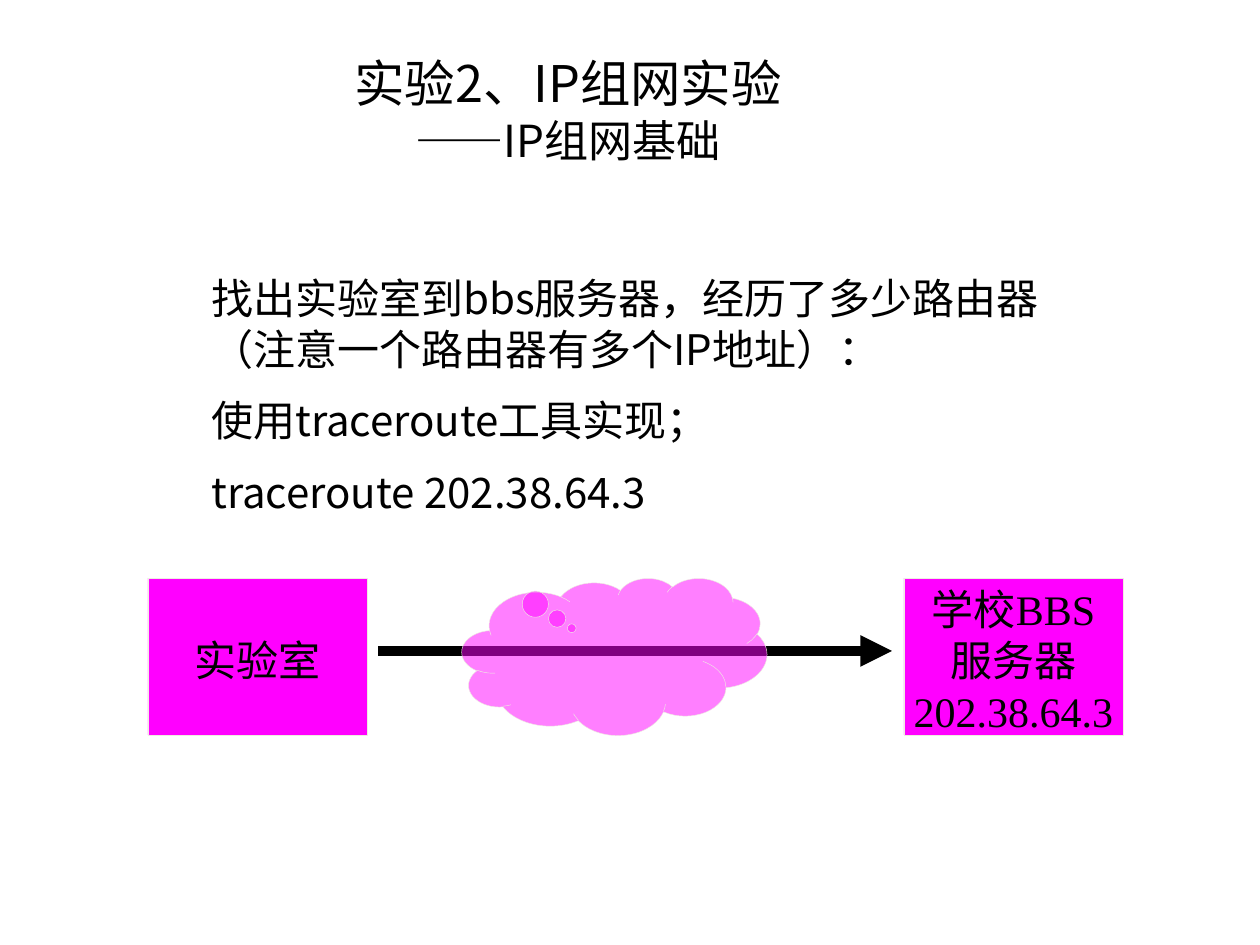
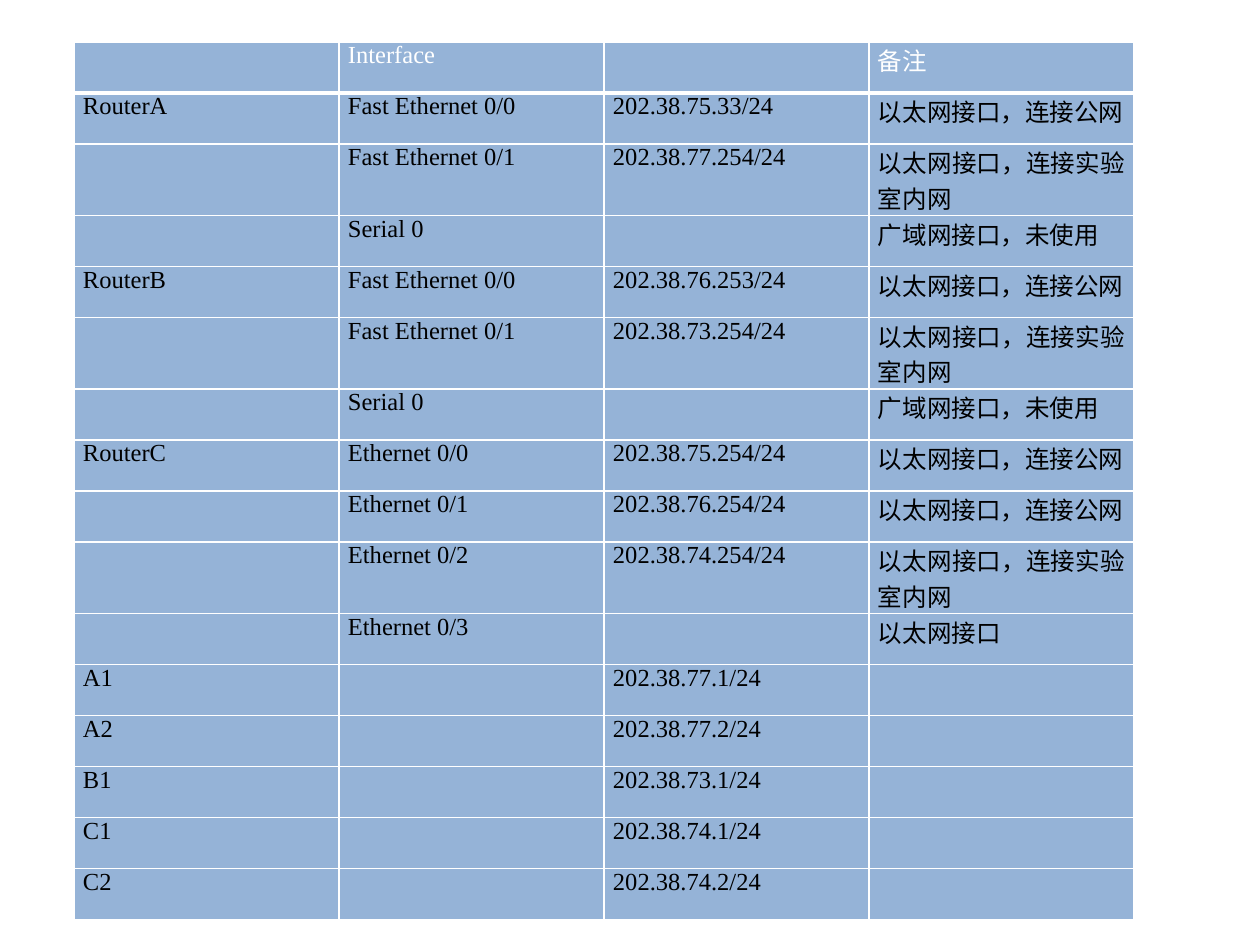
from dataclasses import dataclass

from lxml import etree
from pptx import Presentation, util as u
from pptx.dml.color import RGBColor
from pptx.enum import shapes, text
from pptx.oxml.ns import qn

EMU_PER_PX = 914400 / 126

BLACK = RGBColor(0x00, 0x00, 0x00)
WHITE = RGBColor(0xFF, 0xFF, 0xFF)
MAGENTA = RGBColor(0xFF, 0x00, 0xFF)
CREAM = RGBColor(0xEE, 0xEC, 0xE1)
STEEL_BLUE = RGBColor(0x95, 0xB3, 0xD7)

SANS = "Noto Sans CJK JP"
SERIF = "Times New Roman"


@dataclass(frozen=True)
class Box:
    left: int
    top: int
    width: int
    height: int

    def emu(self) -> tuple:
        return px(self.left), px(self.top), px(self.width), px(self.height)


@dataclass(frozen=True)
class Host:
    label: str
    box: Box


LAB = Host("实验室", Box(148, 578, 219, 157))
SERVER = Host("学校BBS\n服务器\n202.38.64.3", Box(904, 578, 219, 157))
CLOUD = Box(462, 578, 305, 157)
TITLE = Box(95, 53, 946, 105)
TASK = Box(199, 262, 872, 267)

COLUMN_WIDTH = 265
ROW_HEIGHT = 51
TWO_LINE_ROW_HEIGHT = 71
PUBLIC = "以太网接口，连接公网"
PRIVATE = "以太网接口，连接实验室内网"
UNUSED = "广域网接口，未使用"
ADDRESS_ROWS = [
    ("", "Interface", "", "备注"),
    ("RouterA", "Fast Ethernet 0/0", "202.38.75.33/24", PUBLIC),
    ("", "Fast Ethernet 0/1", "202.38.77.254/24", PRIVATE),
    ("", "Serial 0", "", UNUSED),
    ("RouterB", "Fast Ethernet 0/0", "202.38.76.253/24", PUBLIC),
    ("", "Fast Ethernet 0/1", "202.38.73.254/24", PRIVATE),
    ("", "Serial 0", "", UNUSED),
    ("RouterC", "Ethernet 0/0", "202.38.75.254/24", PUBLIC),
    ("", "Ethernet 0/1", "202.38.76.254/24", PUBLIC),
    ("", "Ethernet 0/2", "202.38.74.254/24", PRIVATE),
    ("", "Ethernet 0/3", "", "以太网接口"),
    ("A1", "", "202.38.77.1/24", ""),
    ("A2", "", "202.38.77.2/24", ""),
    ("B1", "", "202.38.73.1/24", ""),
    ("C1", "", "202.38.74.1/24", ""),
    ("C2", "", "202.38.74.2/24", ""),
]


def px(length: int) -> int:
    return round(length * EMU_PER_PX)


def style_run(run, size: float, font: str, color: RGBColor = BLACK) -> None:
    run.font.size = u.Pt(size)
    run.font.color.rgb = color
    run.font.name = font
    etree.SubElement(run.font._element, qn("a:ea"), typeface=SANS)


def style_text(frame, size: float, font: str, align, leading: float, top_inset: int) -> None:
    frame.margin_top = px(top_inset)
    for paragraph in frame.paragraphs:
        paragraph.alignment = align
        paragraph.line_spacing = u.Pt(leading)
        for run in paragraph.runs:
            style_run(run, size, font)


def add_filled_shape(slide, kind, box: Box):
    shape = slide.shapes.add_shape(kind, *box.emu())
    shape.shadow.inherit = False
    shape.fill.solid()
    shape.fill.fore_color.rgb = MAGENTA
    shape.line.color.rgb = CREAM
    shape.line.width = u.Pt(0.25)
    return shape


def add_host(slide, host: Host) -> None:
    frame = add_filled_shape(slide, shapes.MSO_SHAPE.RECTANGLE, host.box).text_frame
    frame.text = host.label
    frame.word_wrap = False
    frame.vertical_anchor = text.MSO_ANCHOR.MIDDLE
    style_text(frame, 24, SERIF, text.PP_ALIGN.CENTER, 29, 12)


def add_route_arrow(slide) -> None:
    arrow = slide.shapes.add_connector(
        shapes.MSO_CONNECTOR.STRAIGHT, px(378), px(651), px(892), px(651))
    arrow.line.color.rgb = BLACK
    arrow.line.width = u.Pt(6)
    etree.SubElement(arrow.line._get_or_add_ln(), qn("a:tailEnd"), type="triangle")
    etree.SubElement(arrow._element.spPr, qn("a:effectLst"))


def add_network_cloud(slide) -> None:
    cloud = add_filled_shape(slide, shapes.MSO_SHAPE.CLOUD_CALLOUT, CLOUD)
    cloud.adjustments[0] = -0.14
    cloud.adjustments[1] = -0.18
    color = cloud._element.spPr.find(qn("a:solidFill"))[0]
    etree.SubElement(color, qn("a:alpha"), val="50000")


def add_text_box(slide, box: Box, content: str):
    frame = slide.shapes.add_textbox(*box.emu()).text_frame
    frame.word_wrap = True
    frame.text = content
    return frame


def add_title(slide) -> None:
    frame = add_text_box(slide, TITLE, "")
    frame.paragraphs[0].text = "实验2、IP组网实验\v——IP组网基础"
    frame.vertical_anchor = text.MSO_ANCHOR.MIDDLE
    style_text(frame, 28.8, SANS, text.PP_ALIGN.CENTER, 31, 20)
    frame.paragraphs[0].runs[1].font.size = u.Pt(25.2)


def add_task(slide) -> None:
    frame = add_text_box(slide, TASK, (
        "找出实验室到bbs服务器，经历了多少路由器（注意一个路由器有多个IP地址）：\n"
        "使用traceroute工具实现；\n"
        "traceroute 202.38.64.3"))
    style_text(frame, 24, SANS, text.PP_ALIGN.LEFT, 29, 10)
    for paragraph in frame.paragraphs[1:]:
        paragraph.space_before = u.Pt(12)


def set_borders(cell, bottom_width: float) -> None:
    """Draw white cell borders; they must precede the fill in the cell properties."""
    properties = cell._tc.get_or_add_tcPr()
    widths = {"lnL": 1, "lnR": 1, "lnT": 1, "lnB": bottom_width}
    for index, (side, width) in enumerate(widths.items()):
        line = etree.Element(qn(f"a:{side}"), w=str(u.Pt(width)))
        fill = etree.SubElement(line, qn("a:solidFill"))
        etree.SubElement(fill, qn("a:srgbClr"), val=str(WHITE))
        properties.insert(index, line)


def fill_cell(cell, content: str, is_header: bool) -> None:
    cell.margin_top = cell.margin_bottom = 0
    cell.margin_left = cell.margin_right = px(9)
    cell.fill.solid()
    cell.fill.fore_color.rgb = STEEL_BLUE
    set_borders(cell, 3 if is_header else 1)
    if content:
        paragraph = cell.text_frame.paragraphs[0]
        paragraph.text = content
        paragraph.alignment = text.PP_ALIGN.JUSTIFY
        style_run(paragraph.runs[0], 14, SERIF, WHITE if is_header else BLACK)


def add_address_table(slide) -> None:
    heights = [TWO_LINE_ROW_HEIGHT if PRIVATE in row else ROW_HEIGHT for row in ADDRESS_ROWS]
    column_count = len(ADDRESS_ROWS[0])
    box = Box(74, 42, COLUMN_WIDTH * column_count, sum(heights))
    table = slide.shapes.add_table(len(ADDRESS_ROWS), column_count, *box.emu()).table
    table.first_row = table.horz_banding = False
    for column in table.columns:
        column.width = px(COLUMN_WIDTH)
    for row_index, (row, height) in enumerate(zip(ADDRESS_ROWS, heights)):
        table.rows[row_index].height = px(height)
        for column_index, content in enumerate(row):
            fill_cell(table.cell(row_index, column_index), content, row_index == 0)


def main() -> None:
    presentation = Presentation()
    presentation.slide_width = u.Inches(10)
    presentation.slide_height = u.Inches(7.5)
    blank = presentation.slide_layouts[6]

    route_slide = presentation.slides.add_slide(blank)
    for host in (LAB, SERVER):
        add_host(route_slide, host)
    add_route_arrow(route_slide)
    add_network_cloud(route_slide)
    add_task(route_slide)
    add_title(route_slide)

    add_address_table(presentation.slides.add_slide(blank))
    presentation.save("out.pptx")


if __name__ == "__main__":
    main()
